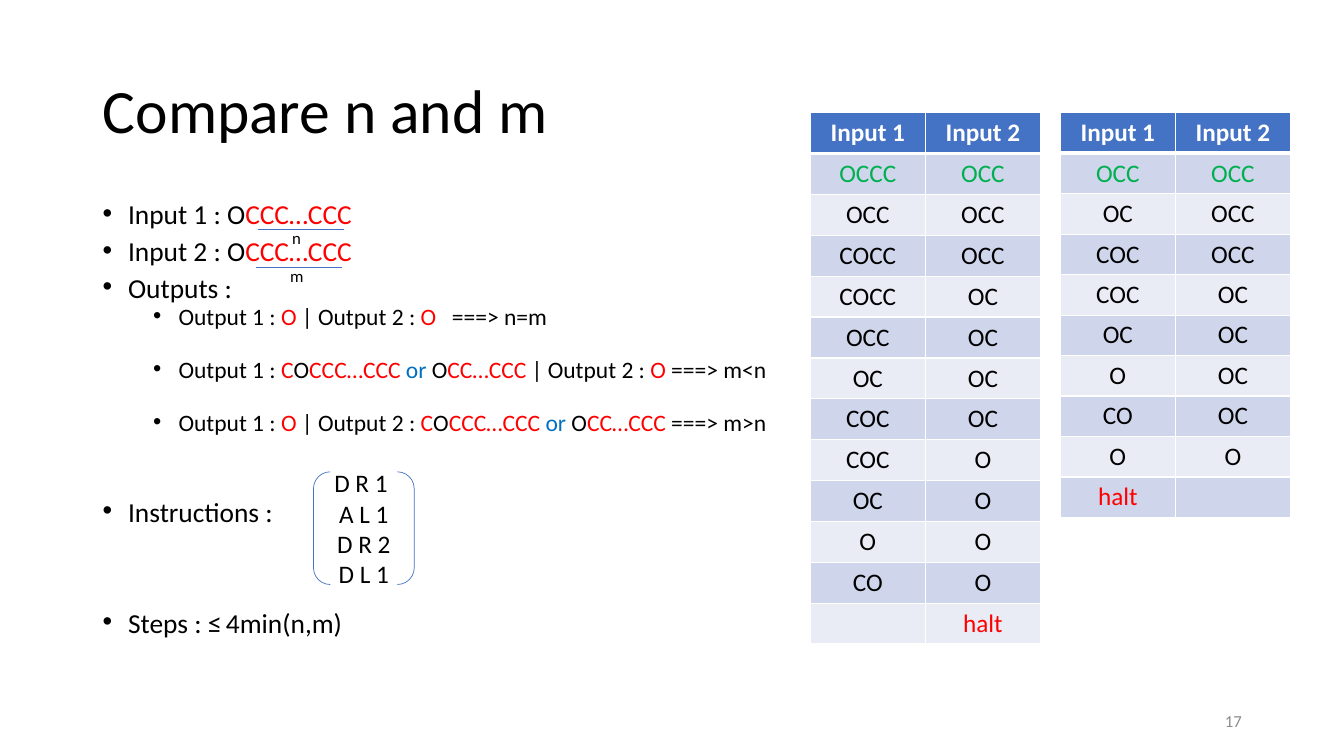
import pptx
import pptx.dml.color
import pptx.enum.shapes
import pptx.enum.text
import pptx.oxml
import pptx.oxml.ns
import pptx.util

Cm, Pt = pptx.util.Cm, pptx.util.Pt
ALIGN, ANCHOR = pptx.enum.text.PP_ALIGN, pptx.enum.text.MSO_ANCHOR
NAMESPACE = pptx.oxml.ns.nsdecls("a")
FONT = "Calibri"
COLORS = {
    "black": "000000", "white": "FFFFFF", "red": "FF0000", "green": "00B050",
    "blue": "0070C0", "accent": "4472C4", "gray": "8C8C8C",
    "band_dark": "CFD5EA", "band_light": "E9EBF5",
}

TITLE = "Compare n and m"
PAGE_NUMBER = "17"
INSTRUCTIONS = ["D R 1 ", "A L 1", "D R 2", "D L 1"]
LONG_OUTPUT = [("C", "red"), ("O", "black"), ("CCC…CCC ", "red"),
               ("or ", "blue"), ("O", "black")]
# Each bullet: level, space before in points, runs of (text, colour[, size])
BULLETS = [
    (0, 0, [("Input 1 : O", "black"), ("CCC…CCC", "red")]),
    (0, 9.7, [("Input 2 : O", "black"), ("CCC…CCC", "red")]),
    (0, 9.7, [("Outputs :", "black")]),
    (1, 5, [("Output 1 : ", "black"), ("O", "red"), (" | Output 2 : ", "black"),
            ("O", "red"), ("\t===> n=m", "black")]),
    (1, 23.9, [("Output 1 : ", "black"), *LONG_OUTPUT, ("CC…CCC", "red"),
               (" | Output 2 : ", "black"), ("O", "red"), (" ===> m<n", "black")]),
    (1, 23.9, [("Output 1 : ", "black"), ("O", "red"), (" | Output 2 : ", "black"),
               *LONG_OUTPUT, ("CC…CCC ", "red"), ("===> m>n", "black")]),
    (0, 48.5, [("Instructions : ", "black")]),
    (0, 62.4, [("Steps : ", "black"), ("≤", "black", 20.3), (" ", "black", 12.6),
               ("4min(n,m)", "black")]),
]
# Level: text size, left margin in cm
LEVELS = {0: (19.6, 0.64), 1: (16.8, 1.91)}
HANGING = 0.64
ARROW_TAB = 8.8

HEADER = ("Input 1", "Input 2")
# Each trace: left edge, row height in cm, rows below the header
TRACES = [
    (20.42, 1.03, [("OCCC", "OCC"), ("OCC", "OCC"), ("COCC", "OCC"), ("COCC", "OC"),
                   ("OCC", "OC"), ("OC", "OC"), ("COC", "OC"), ("COC", "O"),
                   ("OC", "O"), ("O", "O"), ("CO", "O"), ("", "halt")]),
    (26.72, 1.02, [("OCC", "OCC"), ("OC", "OCC"), ("COC", "OCC"), ("COC", "OC"),
                   ("OC", "OC"), ("O", "OC"), ("CO", "OC"), ("O", "O"),
                   ("halt", "")]),
]
TRACE_TOP, COLUMN_WIDTH = 2.84, 2.9
# Each underline: letter, left and height of the line in cm
UNDERLINES = [("n", 6.5, 5.77), ("m", 6.45, 6.73)]
UNDERLINE_WIDTH = 2.18


def rgb(name):
    """Return the named colour."""
    return pptx.dml.color.RGBColor.from_string(COLORS[name])


def style(run, size, color, bold=False):
    """Set the font of a run."""
    run.font.name, run.font.size, run.font.bold = FONT, Pt(size), bold
    run.font.color.rgb = rgb(color)


def add_text(slide, box, text, size, color="black", anchor=ANCHOR.TOP,
             align=ALIGN.LEFT, spacing=1.0):
    """Add a one-paragraph text box; box is left, top, width, height in cm."""
    frame = slide.shapes.add_textbox(*map(Cm, box)).text_frame
    frame.word_wrap = True
    frame.vertical_anchor = anchor
    frame.text = text
    paragraph = frame.paragraphs[0]
    paragraph.alignment, paragraph.line_spacing = align, spacing
    style(paragraph.runs[0], size, color)


def add_bullets(slide):
    """Add the bulleted description of inputs, outputs and steps."""
    frame = slide.shapes.add_textbox(Cm(2.34), Cm(5.08), Cm(29.21), Cm(12.09)).text_frame
    frame.word_wrap = True
    for index, (level, space, runs) in enumerate(BULLETS):
        paragraph = frame.add_paragraph() if index else frame.paragraphs[0]
        size, margin = LEVELS[level]
        paragraph.level = level
        paragraph.line_spacing, paragraph.space_before = 0.7, Pt(space)
        properties = paragraph._p.get_or_add_pPr()
        properties.set("marL", str(Cm(margin)))
        properties.set("indent", str(-Cm(HANGING)))
        for xml in (f'<a:buFont {NAMESPACE} typeface="Arial"/>',
                    f'<a:buChar {NAMESPACE} char="•"/>',
                    f'<a:tabLst {NAMESPACE}><a:tab pos="{Cm(ARROW_TAB)}" algn="l"/></a:tabLst>'):
            properties.append(pptx.oxml.parse_xml(xml))
        for text, color, *own_size in runs:
            run = paragraph.add_run()
            run.text = text
            style(run, own_size[0] if own_size else size, color)


def add_instructions(slide):
    """Add the bracketed list of instructions."""
    shape = slide.shapes.add_shape(pptx.enum.shapes.MSO_SHAPE.DOUBLE_BRACKET,
                                   Cm(7.9), Cm(11.89), Cm(2.54), Cm(2.84))
    shape.shadow.inherit = False
    shape.fill.background()
    shape.line.color.rgb, shape.line.width = rgb("accent"), Pt(0.5)
    frame = shape.text_frame
    frame.vertical_anchor = ANCHOR.MIDDLE
    frame.text = "\n".join(INSTRUCTIONS)
    for paragraph in frame.paragraphs:
        paragraph.alignment = ALIGN.CENTER
        style(paragraph.runs[0], 18, "black")


def add_underline(slide, letter, left, top):
    """Add a line under a group of symbols with its count below."""
    line = slide.shapes.add_connector(pptx.enum.shapes.MSO_CONNECTOR.STRAIGHT, Cm(left),
                                      Cm(top), Cm(left + UNDERLINE_WIDTH), Cm(top))
    line.line.color.rgb, line.line.width = rgb("accent"), Pt(0.5)
    line._element.spPr.append(pptx.oxml.parse_xml(f"<a:effectLst {NAMESPACE}/>"))
    add_text(slide, (left + 0.61, top - 0.15, 1.63, 0.76), letter, 12)


def add_borders(cell, bottom):
    """Draw white borders around a cell, the bottom one of the given width."""
    properties = cell._tc.get_or_add_tcPr()
    for index, (side, width) in enumerate(zip("LRTB", (1, 1, 1, bottom))):
        properties.insert(index, pptx.oxml.parse_xml(
            f'<a:ln{side} {NAMESPACE} w="{Pt(width)}"><a:solidFill>'
            f'<a:srgbClr val="{COLORS["white"]}"/></a:solidFill></a:ln{side}>'))


def add_trace(slide, left, row_height, steps):
    """Add a table of the successive states of both inputs."""
    rows = [HEADER, *steps]
    table = slide.shapes.add_table(
        len(rows), len(HEADER), Cm(left), Cm(TRACE_TOP),
        Cm(COLUMN_WIDTH * len(HEADER)), Cm(row_height * len(rows))).table
    for row_index, row in enumerate(rows):
        table.rows[row_index].height = Cm(row_height)
        header = row_index == 0
        fill = "accent" if header else "band_dark" if row_index % 2 else "band_light"
        row_color = {0: "white", 1: "green"}.get(row_index, "black")
        for column_index, text in enumerate(row):
            table.columns[column_index].width = Cm(COLUMN_WIDTH)
            cell = table.cell(row_index, column_index)
            cell.margin_top = cell.margin_bottom = Cm(0.1)
            cell.vertical_anchor = ANCHOR.MIDDLE
            cell.fill.solid()
            cell.fill.fore_color.rgb = rgb(fill)
            add_borders(cell, 3 if header else 1)
            cell.text_frame.text = text
            paragraph = cell.text_frame.paragraphs[0]
            paragraph.alignment = ALIGN.CENTER
            for run in paragraph.runs:
                style(run, 18, "red" if text == "halt" else row_color, header)


presentation = pptx.Presentation()
presentation.slide_width, presentation.slide_height = Cm(33.87), Cm(19.05)
slide = presentation.slides.add_slide(presentation.slide_layouts[6])
add_text(slide, (2.34, 1.02, 29.21, 3.68), TITLE, 44, anchor=ANCHOR.MIDDLE, spacing=0.9)
add_bullets(slide)
add_text(slide, (23.93, 17.65, 7.62, 1.02), PAGE_NUMBER, 12, "gray",
         ANCHOR.MIDDLE, ALIGN.RIGHT)
add_instructions(slide)
for underline in UNDERLINES:
    add_underline(slide, *underline)
for trace in TRACES:
    add_trace(slide, *trace)
presentation.save("out.pptx")
